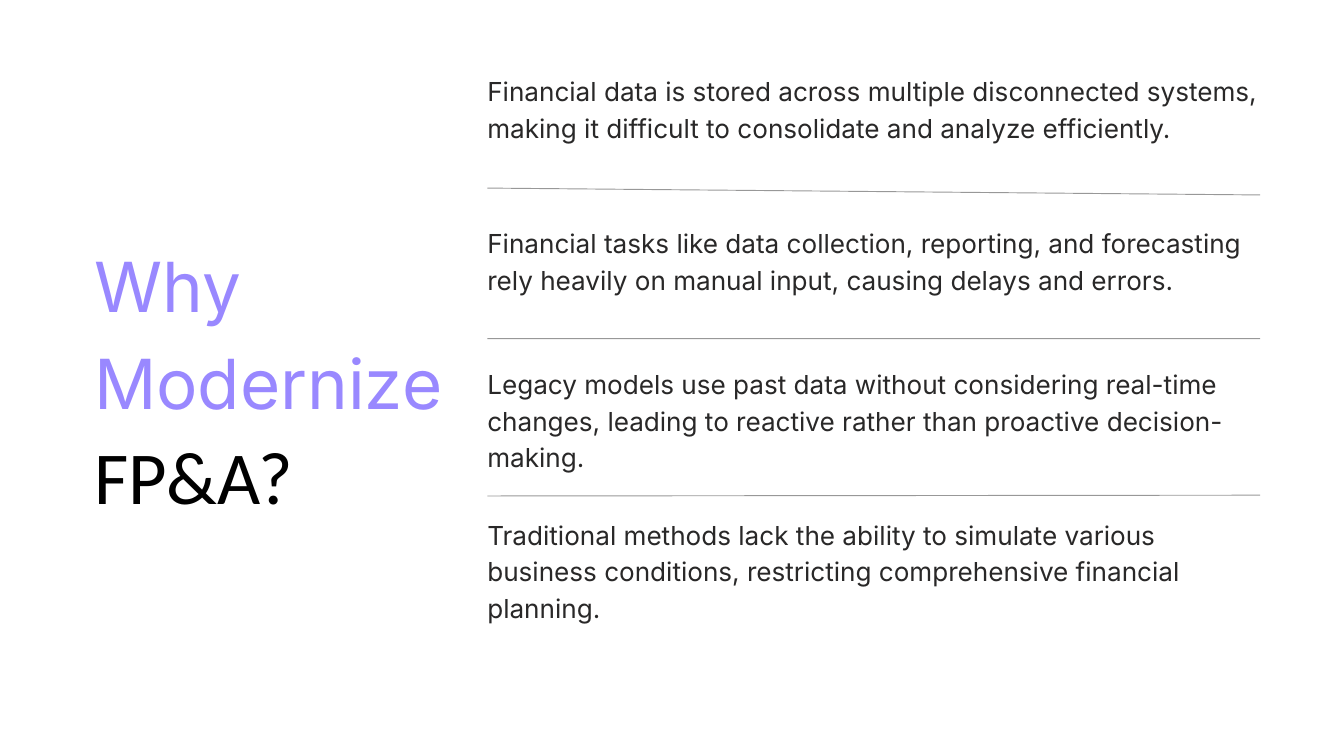
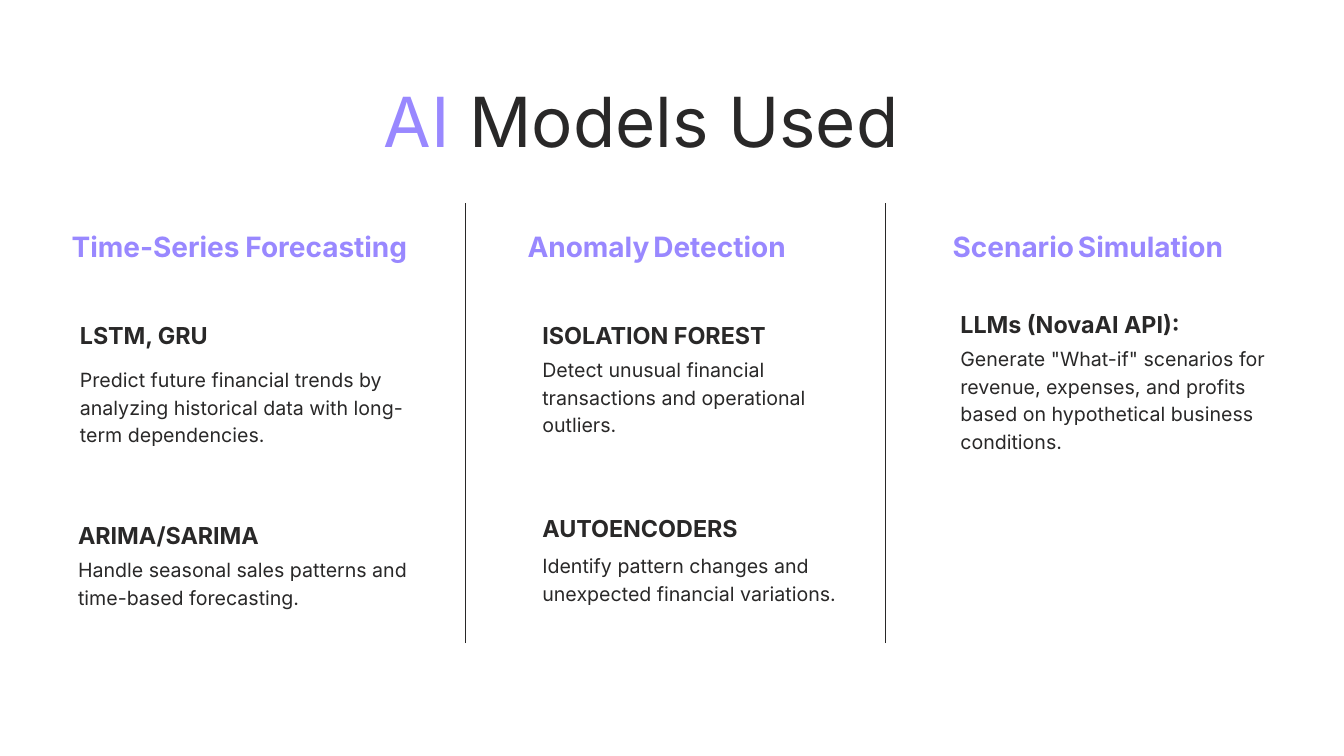
from lxml import etree
from pptx import Presentation
from pptx.dml.color import RGBColor
from pptx.enum.shapes import MSO_CONNECTOR
from pptx.enum.text import MSO_ANCHOR, MSO_AUTO_SIZE, PP_ALIGN
from pptx.oxml.ns import qn
from pptx.util import Cm, Pt

STRAIGHT = MSO_CONNECTOR.STRAIGHT
TOP = MSO_ANCHOR.TOP
GROW = MSO_AUTO_SIZE.SHAPE_TO_FIT_TEXT
LEFT = PP_ALIGN.LEFT

COLORS = {"accent": "9988FF", "ink": "292828", "black": "000000", "background": "FFFFFF"}
MAIN_FONT = "Inter"
SECOND_FONT = "Calibri"
TITLE_ONLY = 5

STATEMENT_LEFT = 18.42
STATEMENT_RIGHT = 47.63
STATEMENTS = [
    ("Financial data is stored across multiple disconnected systems, making it difficult "
     "to consolidate and analyze efficiently.", 2.67, 29.64, 2.67),
    ("Financial tasks like data collection, reporting, and forecasting rely heavily on "
     "manual input, causing delays and errors.", 8.41, 29.21, 2.67),
    ("Legacy models use past data without considering real-time changes, leading to "
     "reactive rather than proactive decision-making.", 13.74, 29.21, 4.09),
    ("Traditional methods lack the ability to simulate various business conditions, "
     "restricting comprehensive financial planning.", 19.43, 28.83, 4.09),
]
SEPARATORS = [(7.11, 7.37), (12.8, 12.8), (18.75, 18.72)]

WIDE_SPACE = {"size": 25.5, "color": "ink", "bold": True}
NARROW_SPACE = {"size": 18, "color": "black", "font": SECOND_FONT}
CATEGORIES = [
    ("Time-Series", "Forecasting", WIDE_SPACE, 2.46, 13.77),
    ("Anomaly", "Detection", NARROW_SPACE, 19.69, 11.43),
    ("Scenario", "Simulation", NARROW_SPACE, 35.76, 11.23),
]
MODELS = [
    ("LSTM, GRU", "Predict future financial trends by analyzing historical data with "
     "long-term dependencies.", 3.02, 11.96, 13.77, 1.98),
    ("ARIMA/SARIMA", "Handle seasonal sales patterns and time-based forecasting.",
     2.95, 19.53, 20.96, 1.98),
    ("ISOLATION FOREST", "Detect unusual financial transactions and operational outliers.",
     20.5, 11.96, 13.39, 4.04),
    ("AUTOENCODERS", "Identify pattern changes and unexpected financial variations.",
     20.5, 19.25, 20.8, 1.98),
    ("LLMs (NovaAI API):", 'Generate "What-if" scenarios for revenue, expenses, and profits '
     "based on hypothetical business conditions.", 36.3, 11.56, 12.98, 4.04),
]
MODEL_WIDTH = 12.62
DIVIDERS = [17.58, 33.45]


def add_run(paragraph, text, size, color="ink", font=MAIN_FONT, bold=False):
    run = paragraph.add_run()
    run.text = text
    run.font.size = Pt(size)
    run.font.name = font
    run.font.bold = bold
    run.font.color.rgb = RGBColor.from_string(COLORS[color])


def prepare_paragraph(shape, line_spacing=None, inset=True):
    frame = shape.text_frame
    frame.word_wrap = True
    frame.auto_size = GROW
    frame.vertical_anchor = TOP
    if not inset:
        frame.margin_left = frame.margin_top = frame.margin_right = frame.margin_bottom = 0
    paragraph = frame.paragraphs[0]
    paragraph.alignment = LEFT
    if line_spacing:
        paragraph.line_spacing = Pt(line_spacing)
    return paragraph


def add_text_box(slide, left, top, width, height, **layout):
    box = slide.shapes.add_textbox(Cm(left), Cm(top), Cm(width), Cm(height))
    return prepare_paragraph(box, **layout)


def add_text(slide, text, left, top, width, height, line_spacing, **run_format):
    paragraph = add_text_box(slide, left, top, width, height,
                             line_spacing=line_spacing, inset=False)
    add_run(paragraph, text, **run_format)


def set_title(slide, left, top, width, height):
    title = slide.shapes.title
    title.left, title.top, title.width, title.height = Cm(left), Cm(top), Cm(width), Cm(height)
    return prepare_paragraph(title, line_spacing=103.6, inset=False)


def add_line(slide, start_x, start_y, end_x, end_y, opacity=100):
    line = slide.shapes.add_connector(STRAIGHT, Cm(start_x), Cm(start_y), Cm(end_x), Cm(end_y))
    line.line.width = Pt(1)
    line.line.color.rgb = RGBColor.from_string(COLORS["ink"])
    properties = line._element.spPr
    if opacity < 100:
        color = properties.find(".//" + qn("a:srgbClr"))
        etree.SubElement(color, qn("a:alpha")).set("val", str(opacity * 1000))
    etree.SubElement(properties, qn("a:effectLst"))


def add_slide(presentation):
    slide = presentation.slides.add_slide(presentation.slide_layouts[TITLE_ONLY])
    fill = slide.background.fill
    fill.solid()
    fill.fore_color.rgb = RGBColor.from_string(COLORS["background"])
    return slide


def build_reasons_slide(presentation):
    slide = add_slide(presentation)
    title = set_title(slide, 3.56, 8.69, 15.54, 10.92)
    add_run(title, "Why Modernize ", size=74, color="accent")
    add_run(title, "FP&A?", size=80, color="black", font=SECOND_FONT)
    for text, top, width, height in STATEMENTS:
        add_text(slide, text, STATEMENT_LEFT, top, width, height, line_spacing=39.2, size=28)
    for start_y, end_y in SEPARATORS:
        add_line(slide, STATEMENT_LEFT, start_y, STATEMENT_RIGHT, end_y, opacity=48)


def build_models_slide(presentation):
    slide = add_slide(presentation)
    title = set_title(slide, 14.5, 2.44, 21.79, 3.4)
    add_run(title, "AI ", size=74, color="accent")
    add_run(title, "Models Used", size=74)
    for first, second, space_format, left, width in CATEGORIES:
        heading = add_text_box(slide, left, 8.56, width, 1.55)
        add_run(heading, first, size=30, color="accent", bold=True)
        add_run(heading, " ", **space_format)
        add_run(heading, second, size=30, color="accent", bold=True)
    for name, detail, left, name_top, detail_top, detail_height in MODELS:
        add_text(slide, name, left, name_top, MODEL_WIDTH, 1.14,
                 line_spacing=35, size=25, bold=True)
        add_text(slide, detail, left, detail_top, MODEL_WIDTH, detail_height,
                 line_spacing=29.4, size=21)
    for x in DIVIDERS:
        add_line(slide, x, 24.31, x, 7.67)


def main():
    presentation = Presentation()
    presentation.slide_width = Cm(50.8)
    presentation.slide_height = Cm(28.58)
    build_reasons_slide(presentation)
    build_models_slide(presentation)
    presentation.save("out.pptx")


if __name__ == "__main__":
    main()
